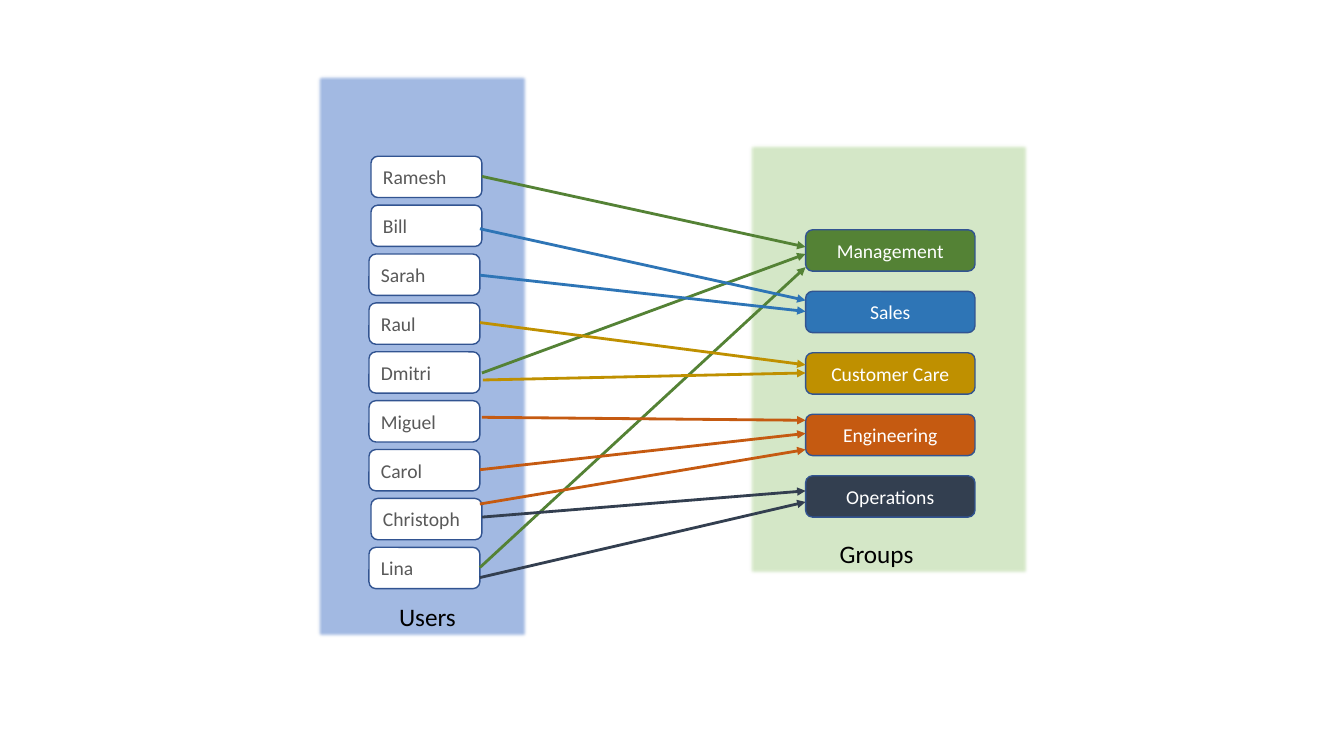
from lxml import etree
from pptx import Presentation
from pptx.dml.color import RGBColor
from pptx.enum.shapes import MSO_CONNECTOR, MSO_SHAPE
from pptx.enum.text import MSO_ANCHOR, MSO_AUTO_SIZE, PP_ALIGN
from pptx.oxml.ns import qn
from pptx.util import Inches, Pt

BLACK = RGBColor(0x00, 0x00, 0x00)
WHITE = RGBColor(0xFF, 0xFF, 0xFF)
GRAY = RGBColor(0x59, 0x59, 0x59)
OUTLINE = RGBColor(0x32, 0x54, 0x91)
PANEL_BLUE = RGBColor(0x44, 0x72, 0xC4)
PANEL_GREEN = RGBColor(0xA9, 0xD1, 0x8E)
GREEN = RGBColor(0x54, 0x82, 0x35)
BLUE = RGBColor(0x2E, 0x75, 0xB6)
GOLD = RGBColor(0xBF, 0x90, 0x00)
ORANGE = RGBColor(0xC5, 0x5A, 0x11)
NAVY = RGBColor(0x33, 0x3F, 0x50)

BOX_HEIGHT = 0.41
USER_TOP, USER_PITCH, USER_WIDTH = 1.55, 0.485, 1.1
GROUP_LEFT, GROUP_TOP, GROUP_PITCH, GROUP_WIDTH = 7.99, 2.28, 0.61, 1.68

USERS = [  # name, left edge
    ("Ramesh", 3.68),
    ("Bill", 3.68),
    ("Sarah", 3.66),
    ("Raul", 3.66),
    ("Dmitri", 3.66),
    ("Miguel", 3.66),
    ("Carol", 3.66),
    ("Christoph", 3.68),
    ("Lina", 3.66),
]

# Each group: name, colour, and its memberships as (start x, start y, end y)
GROUPS = [
    ("Management", GREEN, [(4.78, 1.75, 2.45), (4.78, 3.7, 2.52), (4.76, 5.63, 2.65)]),
    ("Sales", BLUE, [(4.76, 2.27, 2.98), (4.76, 2.73, 3.09)]),
    ("Customer Care", GOLD, [(4.76, 3.2, 3.62), (4.79, 3.77, 3.7)]),
    ("Engineering", ORANGE, [(4.78, 4.14, 4.17), (4.76, 4.66, 4.3), (4.76, 5, 4.46)]),
    ("Operations", NAVY, [(4.78, 5.13, 4.87), (4.76, 5.73, 4.98)]),
]


def add_filled_shape(slide, kind, left, top, width, height, color):
    shape = slide.shapes.add_shape(
        kind, Inches(left), Inches(top), Inches(width), Inches(height))
    shape.shadow.inherit = False
    shape.fill.solid()
    shape.fill.fore_color.rgb = color
    shape.line.color.rgb = OUTLINE
    shape.line.width = Pt(1)
    return shape


def write_text(frame, text, size, color, align):
    frame.text = text
    paragraph = frame.paragraphs[0]
    paragraph.alignment = align
    font = paragraph.runs[0].font
    font.name = "Calibri"
    font.size = Pt(size)
    font.color.rgb = color


def add_panel(slide, left, top, width, height, color):
    """Add a half-transparent background rectangle with soft edges."""
    panel = add_filled_shape(
        slide, MSO_SHAPE.RECTANGLE, left, top, width, height, color)
    properties = panel._element.spPr
    fill_color = properties.find(qn("a:solidFill")).find(qn("a:srgbClr"))
    etree.SubElement(fill_color, qn("a:alpha"), val="49000")
    effects = properties.find(qn("a:effectLst"))
    etree.SubElement(effects, qn("a:softEdge"), rad=str(Pt(2.5)))


def add_caption(slide, text, left, top, width):
    caption = slide.shapes.add_textbox(
        Inches(left), Inches(top), Inches(width), Inches(0.4))
    frame = caption.text_frame
    write_text(frame, text, 18, BLACK, PP_ALIGN.LEFT)
    frame.word_wrap = False
    frame.auto_size = MSO_AUTO_SIZE.SHAPE_TO_FIT_TEXT


def add_box(slide, text, left, top, width, fill, color, align):
    box = add_filled_shape(
        slide, MSO_SHAPE.ROUNDED_RECTANGLE, left, top, width, BOX_HEIGHT, fill)
    box.text_frame.vertical_anchor = MSO_ANCHOR.MIDDLE
    write_text(box.text_frame, text, 14, color, align)


def add_arrow(slide, start_x, start_y, end_y, color):
    arrow = slide.shapes.add_connector(
        MSO_CONNECTOR.STRAIGHT, Inches(start_x), Inches(start_y),
        Inches(GROUP_LEFT), Inches(end_y))
    arrow.line.color.rgb = color
    arrow.line.width = Pt(2)
    etree.SubElement(arrow.line._get_or_add_ln(), qn("a:tailEnd"), type="triangle")
    etree.SubElement(arrow._element.spPr, qn("a:effectLst"))


def main():
    presentation = Presentation()
    presentation.slide_width = Inches(13.33)
    presentation.slide_height = Inches(7.5)
    slide = presentation.slides.add_slide(presentation.slide_layouts[6])

    add_panel(slide, 7.42, 1.42, 2.78, 4.28, PANEL_GREEN)
    add_caption(slide, "Groups", 8.23, 5.29, 0.94)
    for row, (name, color, _) in enumerate(GROUPS):
        add_box(slide, name, GROUP_LEFT, GROUP_TOP + row * GROUP_PITCH,
                GROUP_WIDTH, color, WHITE, PP_ALIGN.CENTER)

    add_panel(slide, 3.14, 0.74, 2.1, 5.59, PANEL_BLUE)
    add_caption(slide, "Users", 3.86, 5.92, 0.77)
    for row, (name, left) in enumerate(USERS):
        add_box(slide, name, left, USER_TOP + row * USER_PITCH,
                USER_WIDTH, WHITE, GRAY, PP_ALIGN.LEFT)

    for _, color, memberships in GROUPS:
        for start_x, start_y, end_y in memberships:
            add_arrow(slide, start_x, start_y, end_y, color)

    presentation.save("out.pptx")


if __name__ == "__main__":
    main()
